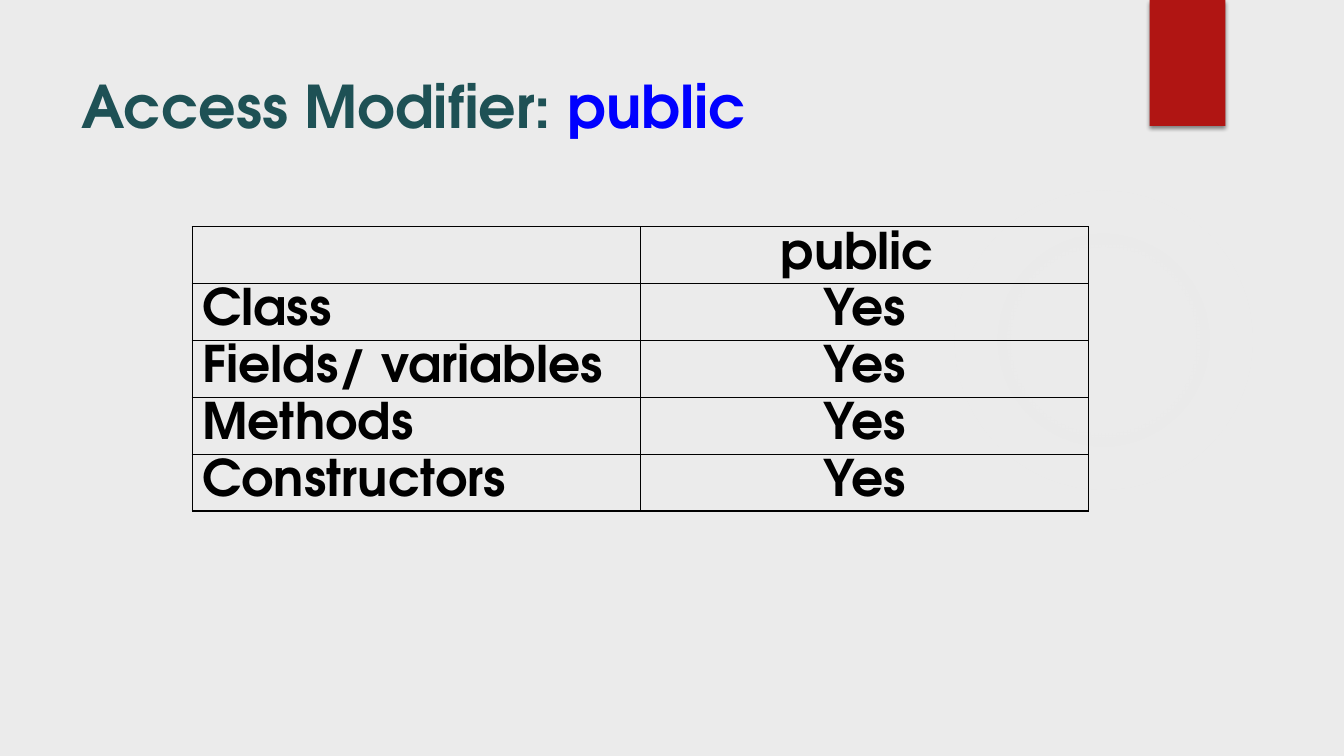
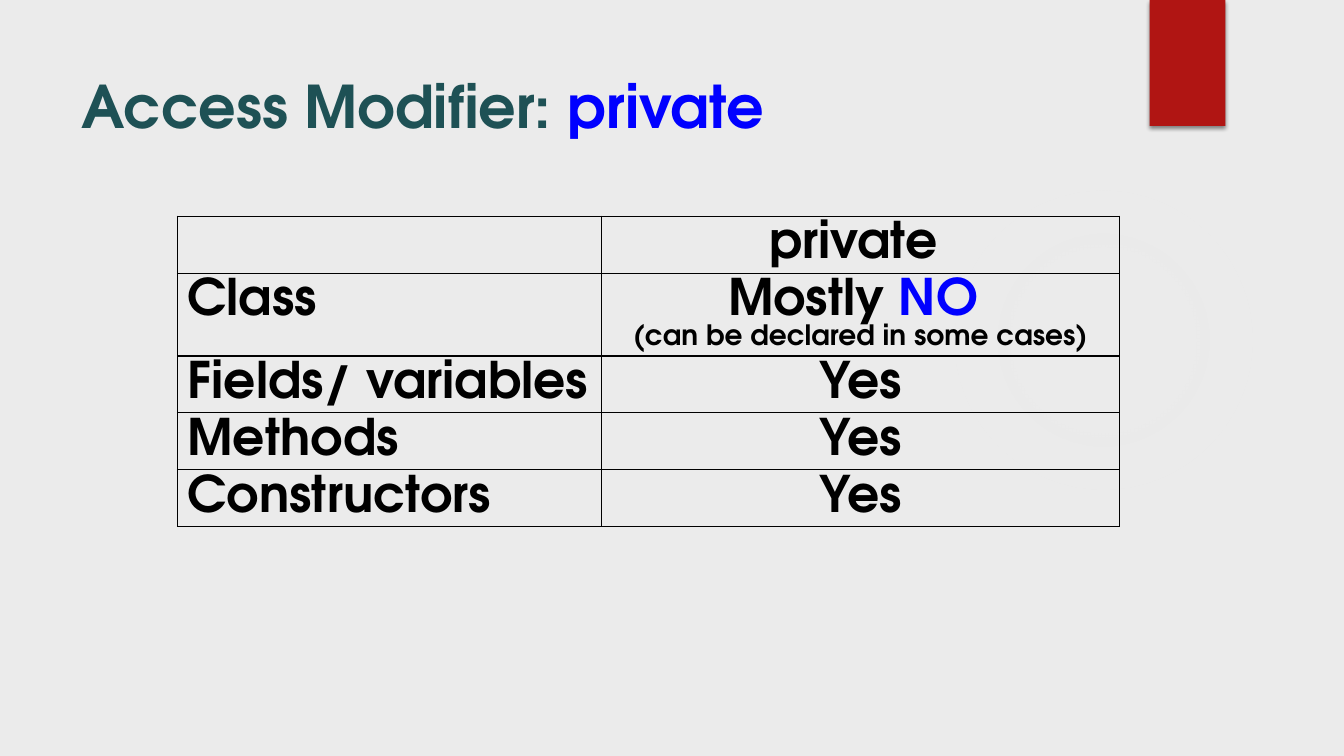
from dataclasses import dataclass

from pptx import Presentation
from pptx.dml.color import RGBColor as Rgb
from pptx.enum.shapes import MSO_SHAPE as Form
from pptx.enum.text import MSO_ANCHOR as Anchor, PP_ALIGN as Align
from pptx.oxml import parse_xml
from pptx.oxml.ns import nsdecls
from pptx.util import Pt

PX = 9525


@dataclass(frozen=True)
class Theme:
    font: str = "TeX Gyre Adventor"
    back: str = "EBEBEB"
    glow: str = "F3F3F3"
    band: str = "B01513"
    head: str = "1E5155"
    key: str = "0000FF"
    ink: str = "000000"
    title: int = 42
    body: int = 36
    note: int = 20
    rule: int = 12700


def px(*sizes):
    return [size * PX for size in sizes]


def node(xml):
    return parse_xml(xml.replace(">", f" {nsdecls('a')}>", 1))


def write(par, text, font, size, color, bold=True):
    run = par.add_run()
    run.text = text
    run.font.name = font
    run.font.size = Pt(size)
    run.font.bold = bold
    run.font.color.rgb = Rgb.from_string(color)


class Deck:
    def __init__(self, theme):
        self.theme = theme
        self.file = Presentation()
        self.file.slide_width, self.file.slide_height = px(1280, 720)
        fill = self.file.slide_master.background.fill
        fill.solid()
        fill.fore_color.rgb = Rgb.from_string(theme.back)

    def page(self, word):
        self.slide = self.file.slides.add_slide(self.file.slide_layouts[5])
        self.glow()
        self.band()
        self.title(word)

    def shape(self, form, *box):
        shape = self.slide.shapes.add_shape(form, *px(*box))
        shape.shadow.inherit = False
        shape.line.fill.background()
        return shape

    def glow(self):
        shape = self.shape(Form.OVAL, 903, 176, 296, 296)
        stops = "".join(
            f'<a:gs pos="{pos}000"><a:srgbClr val="{self.theme.glow}">'
            f'<a:alpha val="{alpha}000"/></a:srgbClr></a:gs>'
            for pos, alpha in ((0, 7), (36, 6), (69, 0)))
        shape.fill.background()
        blank = shape._element.spPr.find(".//{*}noFill")
        blank.getparent().replace(blank, node(
            f'<a:gradFill><a:gsLst>{stops}</a:gsLst><a:path path="circle">'
            '<a:fillToRect l="50000" t="50000" r="50000" b="50000"/>'
            '</a:path></a:gradFill>'))

    def band(self):
        shape = self.shape(Form.RECTANGLE, 1095, 0, 72, 120)
        shape.fill.solid()
        shape.fill.fore_color.rgb = Rgb.from_string(self.theme.band)
        shape._element.spPr.find("{*}effectLst").append(node(
            '<a:outerShdw blurRad="38100" dist="25400" dir="5400000">'
            f'<a:srgbClr val="{self.theme.ink}"><a:alpha val="45000"/>'
            '</a:srgbClr></a:outerShdw>'))

    def title(self, word):
        theme = self.theme
        title = self.slide.shapes.title
        title.left, title.top, title.width, title.height = px(68, 48, 988, 103)
        frame = title.text_frame
        frame.word_wrap = True
        frame.vertical_anchor = Anchor.TOP
        frame.margin_top = 18 * PX
        par = frame.paragraphs[0]
        par.alignment = Align.LEFT
        for text, color in (("Access Modifier: ", theme.head), (word, theme.key)):
            write(par, text, theme.font, theme.title, color)

    def cell(self, cell, lines, align):
        theme = self.theme
        props = cell._tc.get_or_add_tcPr()
        for side in "LRTB":
            props.append(node(
                f'<a:ln{side} w="{theme.rule}"><a:solidFill>'
                f'<a:srgbClr val="{theme.ink}"/></a:solidFill></a:ln{side}>'))
        cell.fill.background()
        frame = cell.text_frame
        for at, line in enumerate(lines):
            par = frame.add_paragraph() if at else frame.paragraphs[0]
            par.alignment = align
            for text, size, color in line:
                write(par, text, theme.font, size, color)

    def table(self, left, top, cols, rows, data):
        table = self.slide.shapes.add_table(
            len(rows), len(cols), *px(left, top, sum(cols), sum(rows))).table
        table.first_row = table.horz_banding = False
        for col, width in zip(table.columns, px(*cols)):
            col.width = width
        for row, height, texts in zip(table.rows, px(*rows), data):
            row.height = height
            for cell, lines, align in zip(row.cells, texts, (Align.LEFT, Align.CENTER)):
                self.cell(cell, lines, align)


def main():
    theme = Theme()
    deck = Deck(theme)

    def plain(text):
        return [[(text, theme.body, theme.ink)]] if text else []

    names = ("", "Class", "Fields/ variables", "Methods", "Constructors")
    yes = plain("Yes")
    mostly = [
        [("Mostly ", theme.body, theme.ink), ("NO ", theme.body, theme.key)],
        [("(can be declared in some cases)", theme.note, theme.ink)],
    ]
    pages = (
        ("public", 183, 216, (427, 427), 54, yes),
        ("private", 169, 206, (404, 493), 79, mostly),
    )
    for word, left, top, cols, tall, answer in pages:
        deck.page(word)
        marks = (plain(word + " "), answer, yes, yes, yes)
        data = list(zip(map(plain, names), marks))
        deck.table(left, top, cols, (54, tall, 54, 54, 54), data)
    deck.file.save("out.pptx")


if __name__ == "__main__":
    main()
